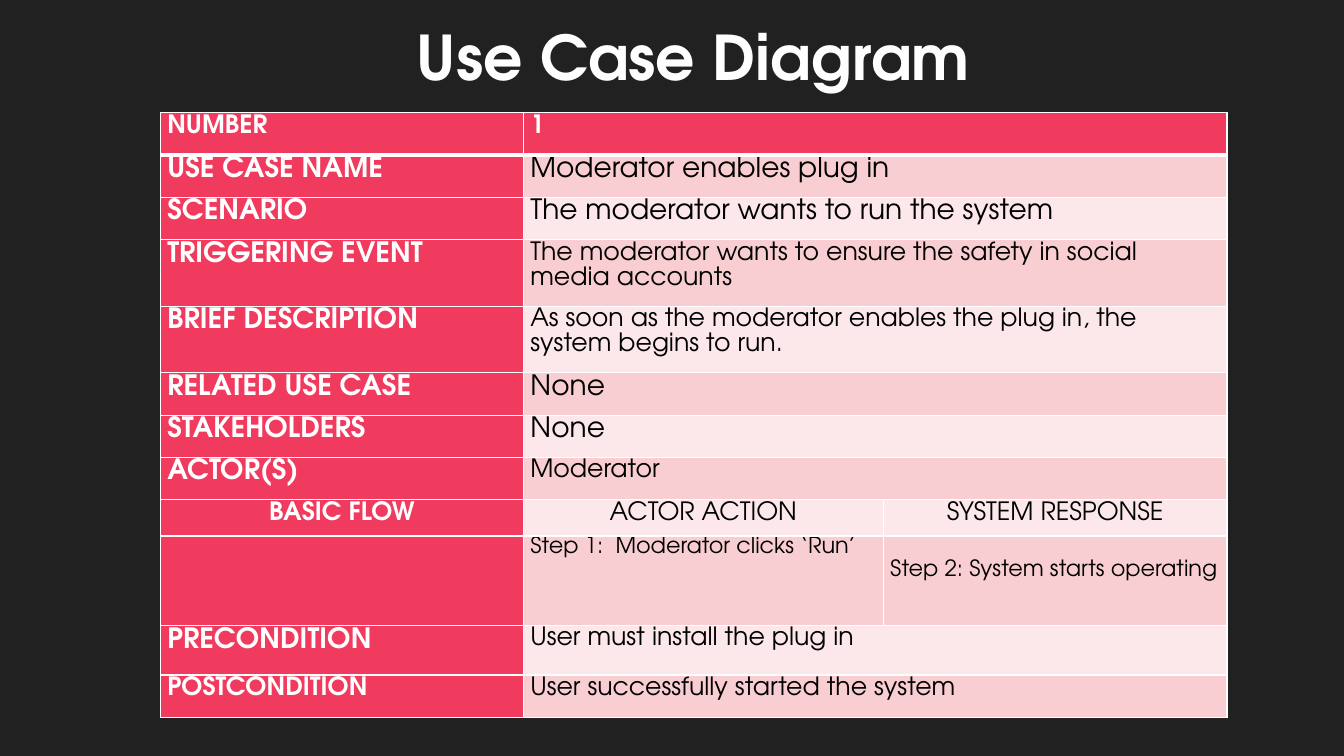
from lxml.etree import SubElement
from pptx import Presentation
from pptx.dml.color import RGBColor
from pptx.enum.text import MSO_AUTO_SIZE, PP_ALIGN
from pptx.oxml.ns import qn
from pptx.util import Inches, Pt

FONT = "TeX Gyre Adventor"
COLORS = {
    "background": "212121",
    "title": "FEFEFE",
    "white": "FFFFFF",
    "black": "000000",
    "label": "F03B5E",
    "odd": "F9CED2",
    "even": "FCE8EA",
}


def write_text(frame, text, size=18, color="black", bold=False, align=PP_ALIGN.LEFT, spacing=1.07):
    para = frame.paragraphs[0]
    para.alignment = align
    para.line_spacing = spacing
    span = para.add_run()
    span.text = text
    span.font.name = FONT
    span.font.size = Pt(size)
    span.font.bold = bold
    span.font.color.rgb = RGBColor.from_string(COLORS[color])


def style_cell(cell, fill, top=1, bottom=1):
    """Set margins, white borders (widths in points) and fill."""
    cell.margin_left = cell.margin_right = Inches(0.07)
    cell.margin_top = cell.margin_bottom = 0
    properties = cell._tc.get_or_add_tcPr()
    for side, width in (("L", 1), ("R", 1), ("T", top), ("B", bottom)):
        line = SubElement(properties, qn(f"a:ln{side}"), w=str(Pt(width)))
        line_fill = SubElement(line, qn("a:solidFill"))
        SubElement(line_fill, qn("a:srgbClr"), val=COLORS["white"])
    cell.fill.solid()
    cell.fill.fore_color.rgb = RGBColor.from_string(COLORS[fill])


deck = Presentation()
deck.slide_width = Inches(13.33)
deck.slide_height = Inches(7.5)
page = deck.slides.add_slide(deck.slide_layouts[6])
page.background.fill.solid()
page.background.fill.fore_color.rgb = RGBColor.from_string(COLORS["background"])

title_box = page.shapes.add_textbox(Inches(4.01), Inches(0.14), Inches(5.74), Inches(0.84))
title_box.text_frame.word_wrap = False
title_box.text_frame.auto_size = MSO_AUTO_SIZE.SHAPE_TO_FIT_TEXT
write_text(title_box.text_frame, "Use Case Diagram", size=44, color="title", bold=True,
           align=PP_ALIGN.CENTER, spacing=1.0)

# Row height, label, label size, values, value size
rows = [
    (0.42, "NUMBER", 18, ["1"], 18),
    (0.42, "USE CASE NAME", 20, ["Moderator enables plug in"], 20),
    (0.42, "SCENARIO", 20, ["The moderator wants to run the system"], 20),
    (0.66, "TRIGGERING EVENT", 20,
     ["The moderator wants to ensure the safety in social media accounts"], 18),
    (0.66, "BRIEF DESCRIPTION", 20,
     ["As soon as the moderator enables the plug in, the system begins to run."], 18),
    (0.42, "RELATED USE CASE", 20, ["None"], 20),
    (0.42, "STAKEHOLDERS", 20, ["None"], 20),
    (0.42, "ACTOR(S)", 20, ["Moderator"], 18),
    (0.36, "BASIC FLOW", 18, ["ACTOR ACTION", "SYSTEM RESPONSE"], 18),
    (0.89, "", 18, ["Step 1:  Moderator clicks ‘Run’", "Step 2: System starts operating"], 16),
    (0.49, "PRECONDITION", 20, ["User must install the plug in"], 18),
    (0.42, "POSTCONDITION", 18, ["User successfully started the system"], 18),
]
column_widths = [3.6, 3.57, 3.41]

table = page.shapes.add_table(len(rows), len(column_widths), Inches(1.59), Inches(1.12),
                              Inches(10.58), Inches(6.05)).table
for column, width in zip(table.columns, column_widths):
    column.width = Inches(width)

for index, (height, label, label_size, values, value_size) in enumerate(rows):
    table.rows[index].height = Inches(height)
    is_header = index == 0
    band = "label" if is_header else ("odd" if index % 2 else "even")
    cells = [table.cell(index, column) for column in range(len(column_widths))]
    for cell, fill in zip(cells, ["label", band, band]):
        style_cell(cell, fill, top=3 if index == 1 else 1, bottom=3 if is_header else 1)
    if len(values) == 1:
        cells[1].merge(cells[2])

    align = PP_ALIGN.CENTER if label == "BASIC FLOW" else PP_ALIGN.LEFT
    if label:
        write_text(cells[0].text_frame, label, size=label_size, color="white", bold=True, align=align)
    for cell, value in zip(cells[1:], values):
        write_text(cell.text_frame, value, size=value_size, bold=is_header, align=align,
                   color="white" if is_header else "black")
        if value.startswith("Step 2"):
            cell.margin_top = Inches(0.22)

deck.save("out.pptx")
